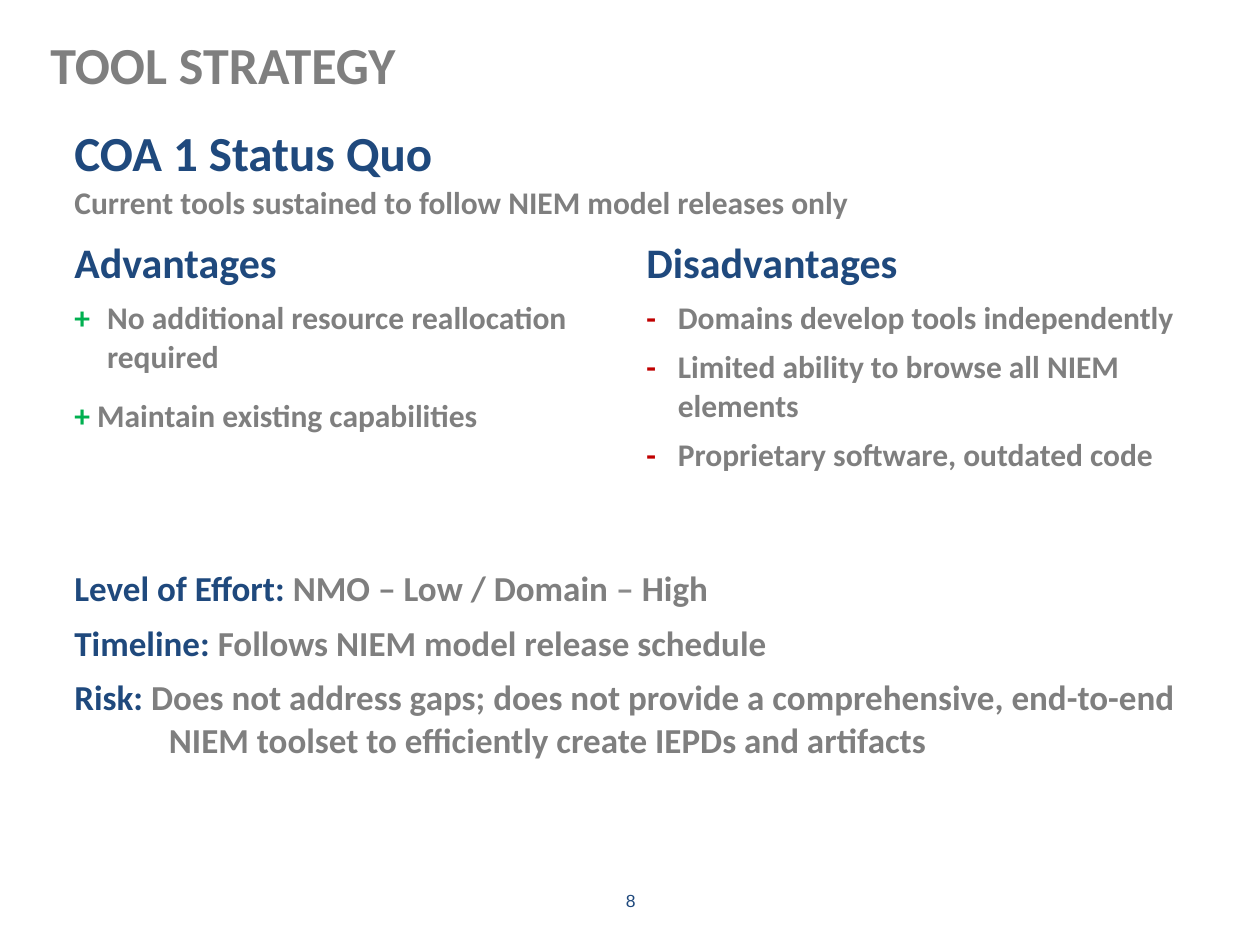
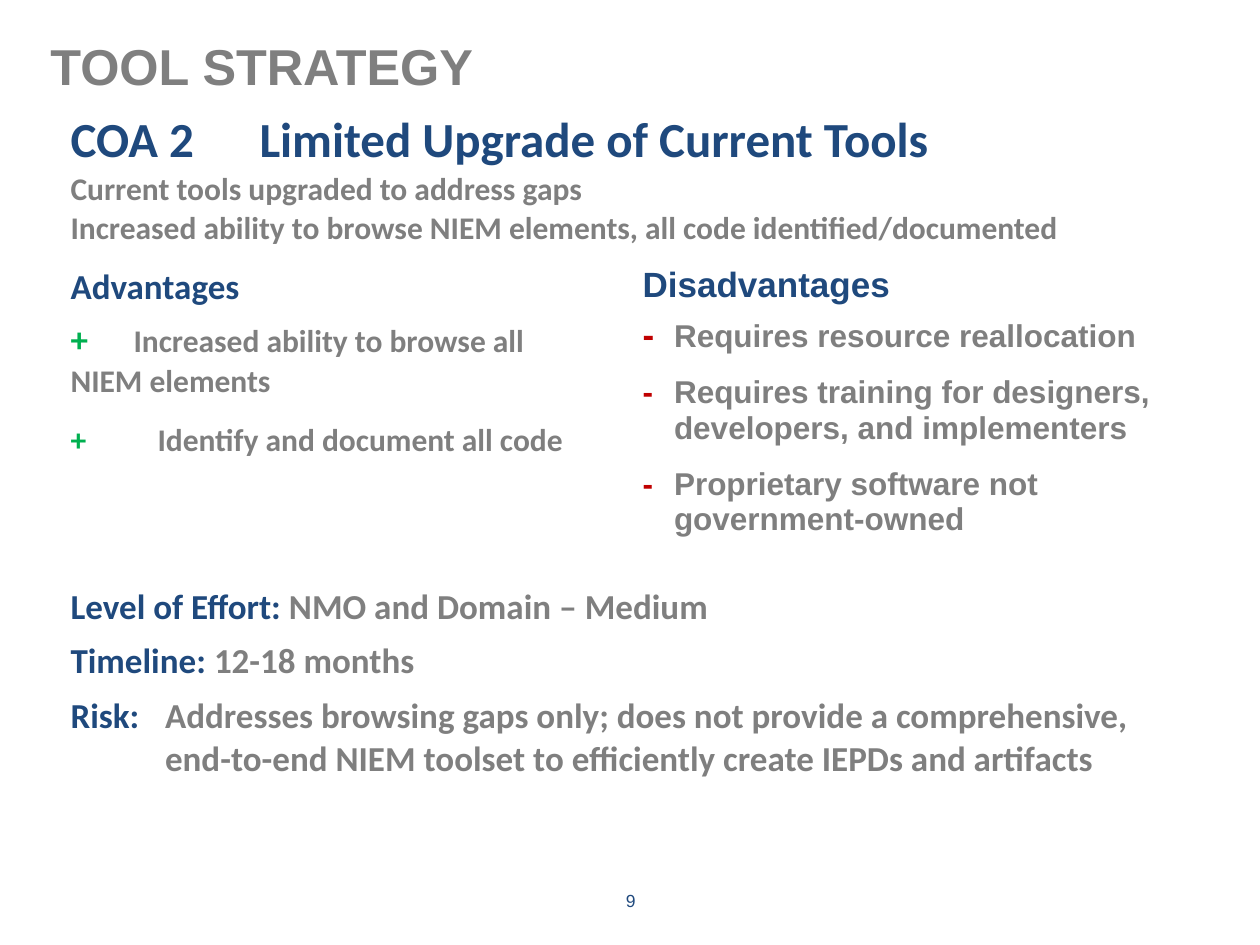
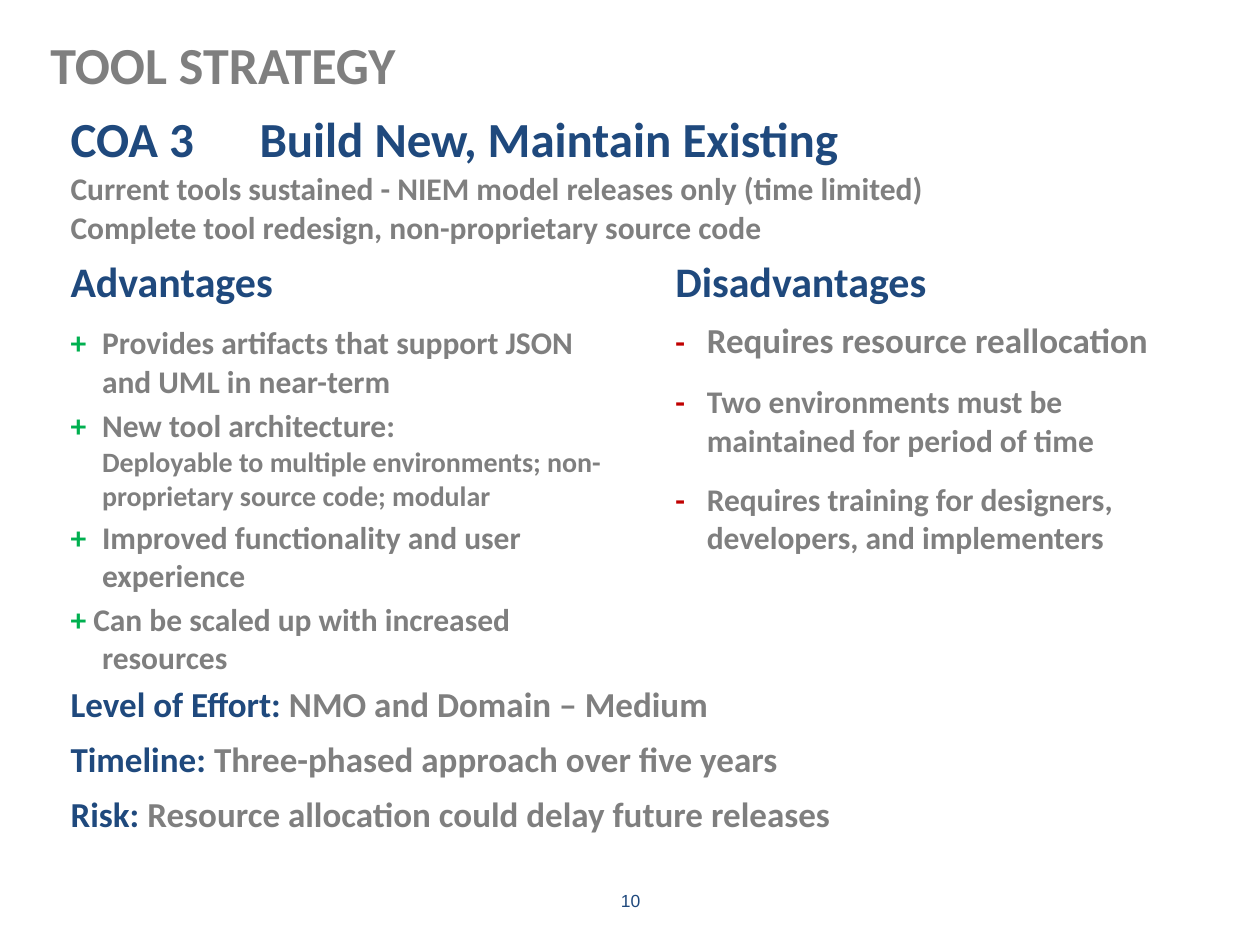
"""Build three slides that weigh the courses of action for a tool strategy."""
from dataclasses import dataclass

from pptx import Presentation
from pptx.dml.color import RGBColor
from pptx.enum.text import MSO_ANCHOR, MSO_AUTO_SIZE, PP_ALIGN
from pptx.util import Inches, Pt

LEFT, CENTER = PP_ALIGN.LEFT, PP_ALIGN.CENTER
TOP, MIDDLE = MSO_ANCHOR.TOP, MSO_ANCHOR.MIDDLE
NO_FIT = MSO_AUTO_SIZE.NONE

NAVY = RGBColor(0x1F, 0x49, 0x7D)
GRAY = RGBColor(0x7F, 0x7F, 0x7F)
DASH = RGBColor(0x8B, 0x8B, 0x8B)
GREEN = RGBColor(0x00, 0xB0, 0x50)
RED = RGBColor(0xC0, 0x00, 0x00)
WHITE = RGBColor(0xFF, 0xFF, 0xFF)

SANS, ARIAL = "Calibri", "Arial"
TITLE = "TOOL STRATEGY"
TITLE_BOX = (0.3, 0.15, 9, 0.89)
PAGE_BOX = (3.42, 6.95, 3.17, 0.4)
COL_WIDTH = 4.54
LABELS = ("Level of Effort: ", "Timeline: ", "Risk: ")
RISK_HANG = 0.75


@dataclass
class Point:
    """One marked line in a column."""
    mark: str
    text: str
    size: float = 18
    mark_size: float = 18
    hang: float = 0.25
    after: float = 12
    before: float = 0
    detail: str = ""


@dataclass
class Column:
    """A headed list of points."""
    head: str
    size: float
    color: RGBColor
    points: list
    face: str = SANS
    shift: float = 0


@dataclass
class Option:
    """One course of action, shown on one slide."""
    page: str
    face: str
    size: float
    place: tuple
    rows: tuple
    name: str
    notes: list
    pros: Column
    cons: Column
    facts: list


OPTIONS = [
    Option(
        "8", SANS, 29.7, (0.49, 0.94), (0.9, 2.62, 0.4, 0.4, 0.6),
        "COA 1 Status Quo",
        ["Current tools sustained to follow NIEM model releases only"],
        Column("Advantages", 24, GREEN, [
            Point("+ \t", "No additional resource reallocation required", hang=0.26),
            Point("+ ", "Maintain existing capabilities", hang=0.26),
        ]),
        Column("Disadvantages", 24, RED, [
            Point("-\t", "Domains develop tools independently", after=6),
            Point("-\t", "Limited ability to browse all NIEM elements", after=6),
            Point("-\t", "Proprietary software, outdated code"),
        ]),
        [[("NMO ‒ Low / Domain ", GRAY), ("‒ ", DASH), ("High", GRAY)],
         [("Follows NIEM model release schedule", GRAY)],
         [("Does not address gaps; does not provide a comprehensive, end-to-end "
           "NIEM toolset to efficiently create IEPDs and artifacts", GRAY)]]),
    Option(
        "9", ARIAL, 28.8, (0.46, 0.83), (1.23, 2.54, 0.43, 0.38, 0.6),
        "COA 2 \tLimited Upgrade of Current Tools",
        ["Current tools upgraded to address gaps",
         "Increased ability to browse NIEM elements, all code identified/documented"],
        Column("Advantages", 20, GREEN, [
            Point("+ \t", "Increased ability to browse all \tNIEM elements",
                  mark_size=20, hang=0),
            Point("+\t\t", "Identify and document all code", hang=0.19),
        ]),
        Column("Disadvantages", 20, RED, [
            Point("-\t", "Requires resource reallocation", mark_size=20),
            Point("- \t", "Requires training for designers, developers, and implementers"),
            Point("- \t", "Proprietary software not government-owned"),
        ], face=ARIAL),
        [[("NMO and Domain ‒ Medium", GRAY)],
         [("12-18 months", GRAY)],
         [("\tAddresses browsing gaps only; does not provide a comprehensive, "
           "end-to-end NIEM toolset to efficiently create IEPDs and artifacts", GRAY)]]),
    Option(
        "10", SANS, 29.7, (0.46, 0.83), (1.16, 3.37, 0.43, 0.43, 0.5),
        "COA 3 \tBuild New, Maintain Existing",
        ["Current tools sustained - NIEM model releases only (time limited)",
         "Complete tool redesign, non-proprietary source code"],
        Column("Advantages", 24, GREEN, [
            Point("+ \t", "Provides artifacts that support JSON and UML in near-term",
                  after=0, before=3),
            Point("+\t", "New tool architecture:", after=0, before=3,
                  detail="Deployable to multiple environments; "
                         "non-proprietary source code; modular"),
            Point("+ \t", "Improved functionality and user experience",
                  after=0, before=3),
            Point("+", " Can be scaled up with increased resources",
                  after=0, before=3),
        ]),
        Column("Disadvantages", 24, RED, [
            Point("-\t", "Requires resource reallocation", size=20),
            Point("-\t", "Two environments must be maintained for period of time"),
            Point("-\t", "Requires training for designers, developers, and implementers"),
        ], shift=0.26),
        [[("NMO and Domain ‒ Medium", GRAY)],
         [("Three-phased approach over five years", GRAY)],
         [("Resource allocation could delay future releases", GRAY)]]),
]


def add_run(para, text, size, color, face=SANS, bold=True):
    run = para.add_run()
    run.text = text
    font = run.font
    font.name, font.size, font.bold = face, Pt(size), bold
    font.color.rgb = color


def add_para(frame, left=0, hang=0, before=0, after=0):
    para = frame.paragraphs[0]
    if para.runs:
        para = frame.add_paragraph()
    para.space_before, para.space_after = Pt(before), Pt(after)
    props = para._p.get_or_add_pPr()
    props.set("marL", str(Inches(left + hang)))
    props.set("indent", str(-Inches(hang)))
    return para


def fill_column(frame, col):
    head = add_para(frame, col.shift, after=6)
    add_run(head, col.head, col.size, NAVY, col.face)
    for point in col.points:
        para = add_para(frame, col.shift, point.hang, point.before, point.after)
        add_run(para, point.mark, point.mark_size, col.color, col.face)
        add_run(para, point.text, point.size, GRAY, col.face)
        if point.detail:
            para.add_line_break()
            add_run(para, point.detail, 16, GRAY, col.face)


def add_title(slide, option):
    title = slide.shapes.title
    title.left, title.top, title.width, title.height = map(Inches, TITLE_BOX)
    frame = title.text_frame
    frame.vertical_anchor, frame.auto_size = TOP, NO_FIT
    para = frame.paragraphs[0]
    para.alignment, para.line_spacing = LEFT, Pt(40)
    add_run(para, TITLE, option.size, GRAY, option.face)


def add_page(slide, number):
    frame = slide.shapes.add_textbox(*map(Inches, PAGE_BOX)).text_frame
    frame.word_wrap, frame.vertical_anchor = True, MIDDLE
    para = frame.paragraphs[0]
    para.alignment = CENTER
    add_run(para, number, 10, NAVY, ARIAL, False)


def add_grid(slide, option):
    left, top = option.place
    table = slide.shapes.add_table(
        len(option.rows), 2, Inches(left), Inches(top),
        Inches(2 * COL_WIDTH), Inches(sum(option.rows))).table
    table.first_row = table.horz_banding = False
    for col in table.columns:
        col.width = Inches(COL_WIDTH)
    for row, height in zip(table.rows, option.rows):
        row.height = Inches(height)
    for cell in table.iter_cells():
        cell.fill.solid()
        cell.fill.fore_color.rgb = WHITE
    for row in (0, 2, 3, 4):
        table.cell(row, 0).merge(table.cell(row, 1))

    intro = table.cell(0, 0).text_frame
    add_run(add_para(intro), option.name, 28, NAVY)
    for note in option.notes:
        add_run(add_para(intro), note, 18, GRAY)
    for index, col in enumerate((option.pros, option.cons)):
        fill_column(table.cell(1, index).text_frame, col)
    for row, (label, parts) in enumerate(zip(LABELS, option.facts), 2):
        hang = RISK_HANG if row == 4 else 0
        para = add_para(table.cell(row, 0).text_frame, hang=hang)
        add_run(para, label, 20, NAVY)
        for text, color in parts:
            add_run(para, text, 20, color)


def main():
    prs = Presentation()
    prs.slide_width, prs.slide_height = Inches(10), Inches(7.5)
    for option in OPTIONS:
        slide = prs.slides.add_slide(prs.slide_layouts[5])
        add_title(slide, option)
        add_page(slide, option.page)
        add_grid(slide, option)
    prs.save("out.pptx")


if __name__ == "__main__":
    main()
